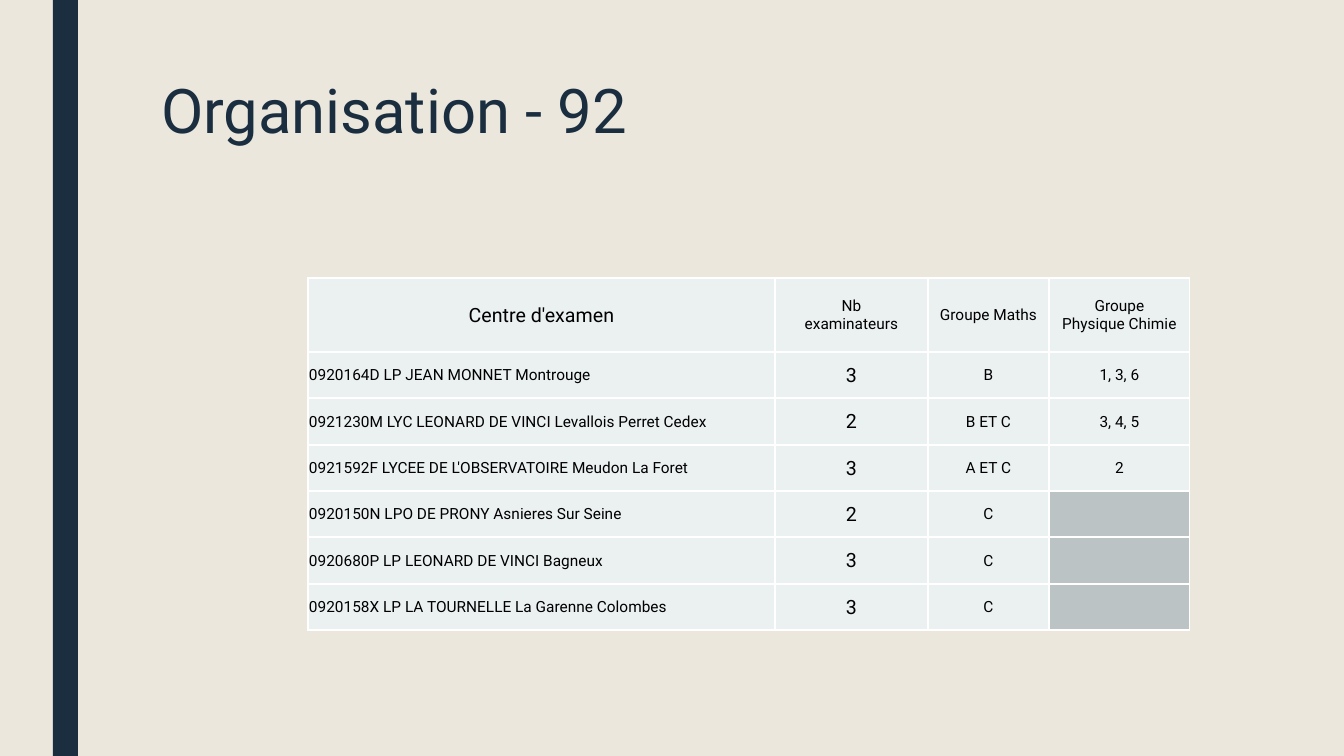
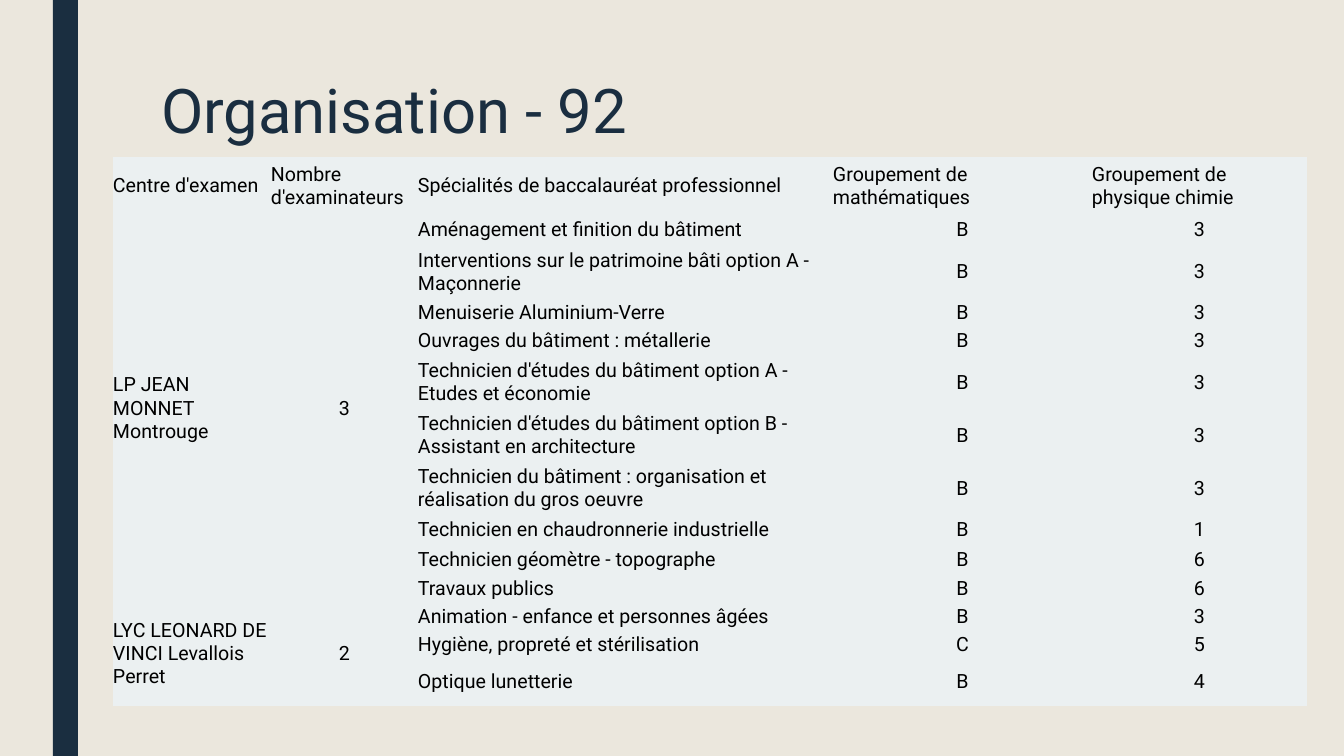
import lxml.etree
import pptx
import pptx.dml.color
import pptx.enum.shapes
import pptx.enum.text
import pptx.oxml.ns
import pptx.util

PX = 914400 / 100.8  # EMU per px

NAVY = pptx.dml.color.RGBColor(0x1A, 0x2E, 0x40)
SAND = pptx.dml.color.RGBColor(0xEB, 0xE7, 0xDD)
MIST = pptx.dml.color.RGBColor(0xEB, 0xF0, 0xF1)
GREY = pptx.dml.color.RGBColor(0xBB, 0xC3, 0xC4)
WHITE = pptx.dml.color.RGBColor(0xFF, 0xFF, 0xFF)
BLACK = pptx.dml.color.RGBColor(0x00, 0x00, 0x00)

FONT = "Roboto"
LEFT = pptx.enum.text.PP_ALIGN.LEFT
CENTER = pptx.enum.text.PP_ALIGN.CENTER
qn = pptx.oxml.ns.qn


def px(length):
    return pptx.util.Emu(round(length * PX))


def write(frame, text, size=14, color=BLACK, align=LEFT, spacing=None, border=None):
    frame.text = text
    for paragraph in frame.paragraphs:
        paragraph.alignment = align
        paragraph.line_spacing = spacing
        for run in paragraph.runs:
            run.font.name = FONT
            run.font.size = pptx.util.Pt(size)
            run.font.bold = False
            run.font.color.rgb = color


deck = pptx.Presentation()
deck.slide_width, deck.slide_height = px(1344), px(756)

# Shared background and title place
master = deck.slide_master
master.background.fill.solid()
master.background.fill.fore_color.rgb = SAND
title_only = deck.slide_layouts[5]
heading = title_only.placeholders[0]
heading.left, heading.top, heading.width, heading.height = px(151), px(76), px(1058), px(163)

# Slide titles
slides = [deck.slides.add_slide(title_only) for _ in range(2)]
for slide in slides:
    title = slide.shapes.title.text_frame
    title.auto_size = pptx.enum.text.MSO_AUTO_SIZE.NONE
    title.vertical_anchor = pptx.enum.text.MSO_ANCHOR.TOP
    write(title, "Organisation - 92", size=44, color=NAVY, spacing=0.89)

# Side band, drawn once and moved to the master
band = slides[0].shapes.add_shape(
    pptx.enum.shapes.MSO_SHAPE.RECTANGLE, px(53), 0, px(25), px(756))
band.shadow.inherit = False
band.fill.solid()
band.fill.fore_color.rgb = NAVY
band.line.fill.background()
master.shapes.element.insert(2, band.element)

# Exam centres: rows of centre, examiners, maths groups, physics groups
centres = [
    ("Centre d'examen", "Nb\nexaminateurs", "Groupe Maths", "Groupe\nPhysique Chimie"),
    ("0920164D LP JEAN MONNET Montrouge", "3", "B", "1, 3, 6"),
    ("0921230M LYC LEONARD DE VINCI Levallois Perret Cedex", "2", "B ET C", "3, 4, 5"),
    ("0921592F LYCEE DE L'OBSERVATOIRE Meudon La Foret", "3", "A ET C", "2"),
    ("0920150N LPO DE PRONY Asnieres Sur Seine", "2", "C", ""),
    ("0920680P LP LEONARD DE VINCI Bagneux", "3", "C", ""),
    ("0920158X LP LA TOURNELLE La Garenne Colombes", "3", "C", ""),
]

# Specialities by school: (school, examiners, [(speciality, maths, physics)])
schools = [
    ("LP JEAN MONNET Montrouge", "3", [
        ("Aménagement et finition du bâtiment", "B", "3"),
        ("Interventions sur le patrimoine bâti option A - Maçonnerie", "B", "3"),
        ("Menuiserie Aluminium-Verre", "B", "3"),
        ("Ouvrages du bâtiment : métallerie", "B", "3"),
        ("Technicien d'études du bâtiment option A - Etudes et économie", "B", "3"),
        ("Technicien d'études du bâtiment option B - Assistant en architecture", "B", "3"),
        ("Technicien du bâtiment : organisation et réalisation du gros oeuvre", "B", "3"),
        ("Technicien en chaudronnerie industrielle", "B", "1"),
        ("Technicien géomètre - topographe", "B", "6"),
        ("Travaux publics", "B", "6"),
    ]),
    ("LYC LEONARD DE VINCI Levallois Perret", "2", [
        ("Animation - enfance et personnes âgées", "B", "3"),
        ("Hygiène, propreté et stérilisation", "C", "5"),
        ("Optique lunetterie", "B", "4"),
    ]),
]
specialities = [("Centre d'examen", "Nombre d'examinateurs",
                 "Spécialités de baccalauréat professionnel",
                 "Groupement de mathématiques", "Groupement de physique chimie")]
school_spans = []
for school, examiners, courses in schools:
    school_spans.append((len(specialities), len(specialities) + len(courses) - 1))
    for index, course in enumerate(courses):
        specialities.append(((school, examiners) if index == 0 else ("", "")) + course)

# Table layouts: slide, rows, left, top, column widths, row heights, margin, ruled
layouts = [
    (slides[0], centres, 308, 278, [467, 153, 121, 141],
     [74] + [46, 47, 46] * 2, 1, True),
    (slides[1], specialities, 113, 157, [158, 147, 415, 259, 215],
     [58, 30, 54, 27, 30, 53, 53, 53, 30, 31, 26, 30, 27, 47], 0, False),
]
grids = []
for slide, rows, left, top, widths, heights, margin, ruled in layouts:
    grid = slide.shapes.add_table(len(rows), len(widths), px(left), px(top),
                                  px(sum(widths)), px(sum(heights))).table
    grid.horz_banding = False
    grids.append(grid)
    for column, width in zip(grid.columns, widths):
        column.width = px(width)
    for row, height in zip(grid.rows, heights):
        row.height = px(height)

    for r, values in enumerate(rows):
        for c, value in enumerate(values):
            cell = grid.cell(r, c)
            cell.margin_left = cell.margin_right = cell.margin_top = px(margin)
            cell.margin_bottom = 0
            cell.vertical_anchor = pptx.enum.text.MSO_ANCHOR.MIDDLE
            cell.fill.solid()
            cell.fill.fore_color.rgb = GREY if ruled and not value else MIST

            # White rules on the centres, none on the specialities
            properties = cell._tc.get_or_add_tcPr()
            for position, side in enumerate(("a:lnL", "a:lnR", "a:lnT", "a:lnB")):
                rule = lxml.etree.Element(qn(side), w=str(pptx.util.Pt(1)))
                if ruled:
                    paint = lxml.etree.SubElement(rule, qn("a:solidFill"))
                    lxml.etree.SubElement(paint, qn("a:srgbClr"), val=str(WHITE))
                else:
                    lxml.etree.SubElement(rule, qn("a:noFill"))
                properties.insert(position, rule)

            if ruled:
                size = 14 if c == (0 if r == 0 else 1) else 11
                centred = r == 0 or c > 0
            else:
                size = 14
                centred = r > 0 and c in (1, 3, 4)
            if value:
                write(cell.text_frame, value, size=size, align=CENTER if centred else LEFT)

# One merged cell per school and per number of examiners
for first, last in school_spans:
    for c in (0, 1):
        grids[1].cell(first, c).merge(grids[1].cell(last, c))

deck.save("out.pptx")
